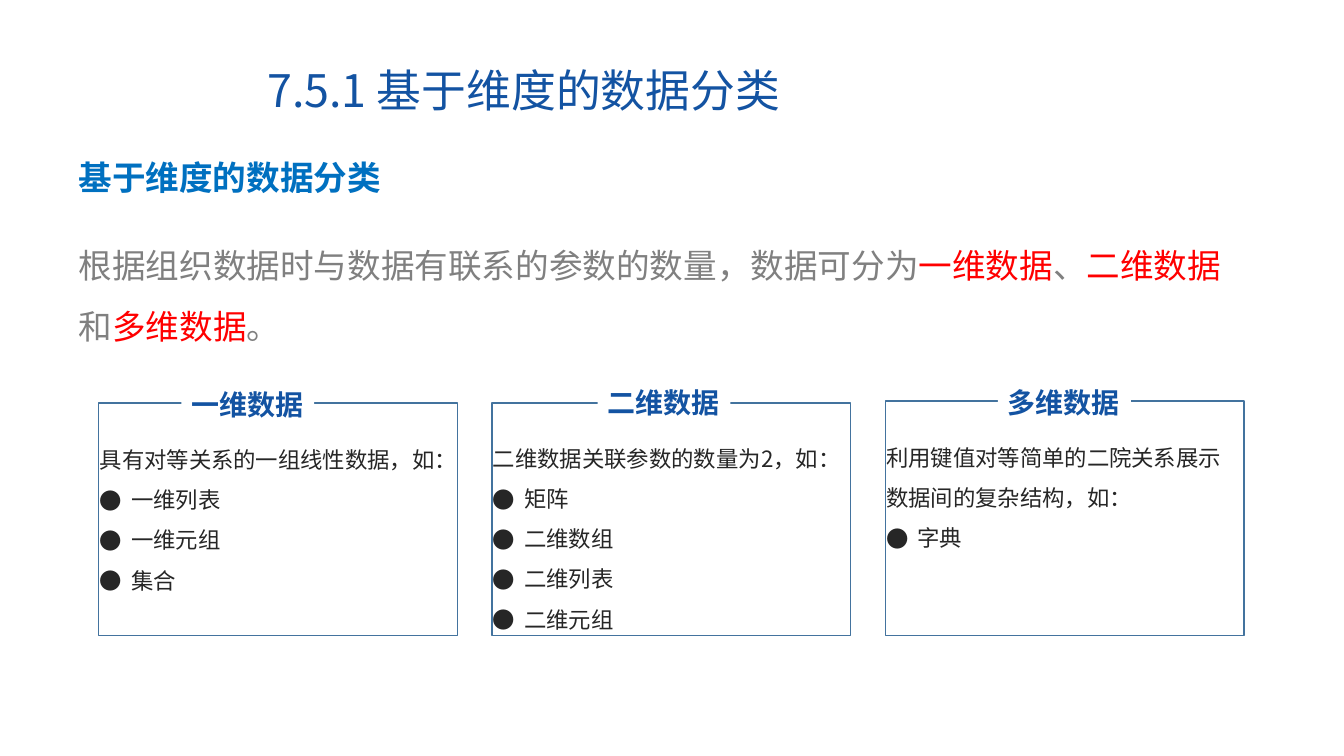
"""Build a slide that sorts data into one, two and many dimensions."""
from lxml import etree
from pptx import Presentation
from pptx.dml.color import RGBColor
from pptx.enum.shapes import MSO_SHAPE
from pptx.enum.text import MSO_ANCHOR, MSO_AUTO_SIZE, PP_ALIGN
from pptx.oxml.ns import qn
from pptx.util import Cm, Pt

RECTANGLE = MSO_SHAPE.RECTANGLE
TOP, MIDDLE = MSO_ANCHOR.TOP, MSO_ANCHOR.MIDDLE
LEFT = PP_ALIGN.LEFT
NO_FIT = MSO_AUTO_SIZE.NONE

FONT = "Noto Sans CJK SC"
COLORS = {
    "title": "1353A2", "heading": "0070C0", "grey": "808080", "red": "FF0000",
    "dark": "262626", "border": "43739E", "white": "FFFFFF",
}

TITLE = "7.5.1 基于维度的数据分类"
HEADING = "基于维度的数据分类"
INTRO = [
    ("根据组织数据时与数据有联系的参数的数量，数据可分为", "grey"),
    ("一维数据", "red"), ("、", "grey"), ("二维数据", "red"),
    ("和", "grey"), ("多维数据", "red"), ("。", "grey"),
]
CARDS = [
    {"label": "一维数据", "lead": "具有对等关系的一组线性数据，如：",
     "items": ["一维列表", "一维元组", "集合"],
     "label_at": (4.57, 9.65), "top": 10.16, "list_top": 10.77},
    {"label": "二维数据", "lead": "二维数据关联参数的数量为2，如：",
     "items": ["矩阵", "二维数组", "二维列表", "二维元组"],
     "label_at": (15.06, 9.6), "top": 10.16, "list_top": 10.74},
    {"label": "多维数据", "lead": "利用键值对等简单的二院关系展示数据间的复杂结构，如：",
     "items": ["字典"],
     "label_at": (25.15, 9.58), "top": 10.11, "list_top": 10.72},
]

CARD_LEFT, CARD_STEP, CARD_WIDTH, CARD_BOTTOM = 2.49, 9.91, 9.04, 16.02
LIST_INSET, LIST_HEIGHT = 1.5, 5.25
LABEL_SIZE = (3.35, 1.12)
LEAD_INDENT, ITEM_INDENT, HANGING = 1.27, 2.06, 0.79


def place(box, left, top, width, height):
    """Move and size a box given in centimetres."""
    box.left, box.top = Cm(left), Cm(top)
    box.width, box.height = Cm(width), Cm(height)


def prepare(box, wrap=True, anchor=TOP):
    """Set the frame of a box and return its first paragraph."""
    frame = box.text_frame
    settings = {"word_wrap": wrap, "auto_size": NO_FIT, "vertical_anchor": anchor}
    for name, value in settings.items():
        setattr(frame, name, value)
    return frame.paragraphs[0]


def set_bullet(para, margin, hanging=0):
    """Indent a paragraph and give it a bullet when it hangs."""
    properties = para._p.get_or_add_pPr()
    properties.set("marL", str(Cm(margin)))
    properties.set("indent", str(-Cm(hanging)))
    if hanging:
        color = etree.SubElement(properties, qn("a:buClr"))
        etree.SubElement(color, qn("a:srgbClr"), val=COLORS["dark"])
        etree.SubElement(properties, qn("a:buFont"), typeface=FONT)
        etree.SubElement(properties, qn("a:buChar"), char="●")
    else:
        etree.SubElement(properties, qn("a:buNone"))


def write(para, spans, size, bold=False, spacing=1.5):
    """Fill a paragraph with coloured spans."""
    settings = {"alignment": LEFT, "line_spacing": spacing,
                "space_before": Pt(0), "space_after": Pt(0)}
    for name, value in settings.items():
        setattr(para, name, value)
    for text, color in spans:
        span = para.add_run()
        span.text = text
        for name, value in {"name": FONT, "size": Pt(size), "bold": bold}.items():
            setattr(span.font, name, value)
        span.font.color.rgb = RGBColor.from_string(COLORS[color])
        etree.SubElement(span._r.get_or_add_rPr(), qn("a:ea"), typeface=FONT)


def add_rectangle(page, left, top, width, height):
    """Add a plain rectangle without fill, line or shadow."""
    box = page.shapes.add_shape(RECTANGLE, Cm(left), Cm(top), Cm(width), Cm(height))
    box.shadow.inherit = False
    box.fill.background()
    box.line.fill.background()
    return box


def add_card(page, index, card, body):
    """Add a bordered card with its list and label."""
    left = CARD_LEFT + index * CARD_STEP
    place(body, left - LIST_INSET, card["list_top"], CARD_WIDTH + LIST_INSET, LIST_HEIGHT)
    para = prepare(body)
    para.level = 1
    set_bullet(para, LEAD_INDENT)
    write(para, [(card["lead"], "dark")], 16)
    for item in card["items"]:
        para = body.text_frame.add_paragraph()
        para.level = 1
        set_bullet(para, ITEM_INDENT, HANGING)
        write(para, [(item, "dark")], 16)

    border = add_rectangle(page, left, card["top"], CARD_WIDTH, CARD_BOTTOM - card["top"])
    border.line.color.rgb = RGBColor.from_string(COLORS["border"])
    border.line.width = Pt(1)

    label = add_rectangle(page, *card["label_at"], *LABEL_SIZE)
    label.fill.solid()
    label.fill.fore_color.rgb = RGBColor.from_string(COLORS["white"])
    write(prepare(label, wrap=False), [(card["label"], "title")], 20, True, 1.0)


def main():
    """Build and save the deck."""
    deck = Presentation()
    deck.slide_width, deck.slide_height = Cm(33.87), Cm(19.05)
    page = deck.slides.add_slide(deck.slide_layouts.get_by_name("Comparison"))
    title, intro, *bodies = page.placeholders

    place(title, 6.48, 1.6, 23.22, 1.5)
    write(prepare(title, anchor=MIDDLE), [(TITLE, "title")], 32, spacing=0.9)

    heading = page.shapes.add_textbox(Cm(1.73), Cm(3.33), Cm(21.06), Cm(1.8))
    write(prepare(heading), [(HEADING, "heading")], 24, True)

    place(intro, 1.73, 5.54, 30.02, 3.33)
    para = prepare(intro)
    set_bullet(para, 0)
    write(para, INTRO, 24)

    for index, (card, body) in enumerate(zip(CARDS, bodies)):
        add_card(page, index, card, body)
    deck.save("out.pptx")


if __name__ == "__main__":
    main()
